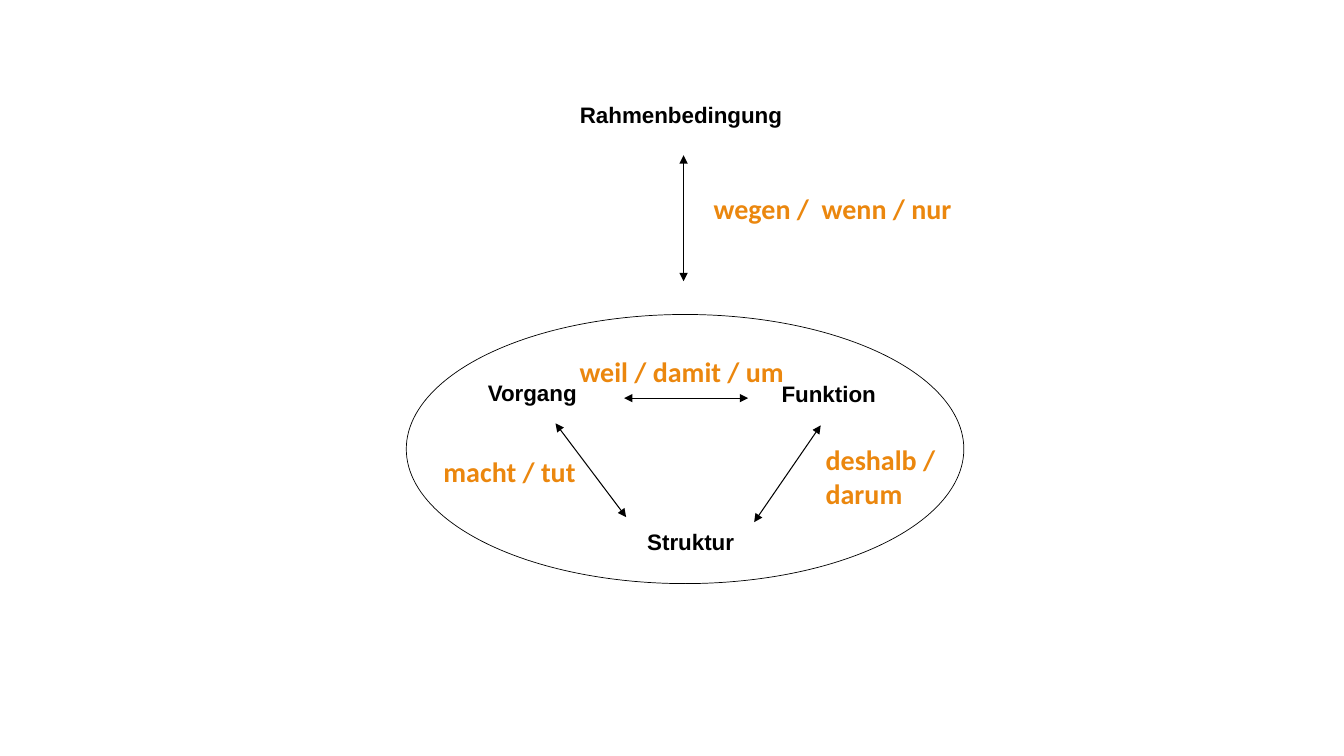
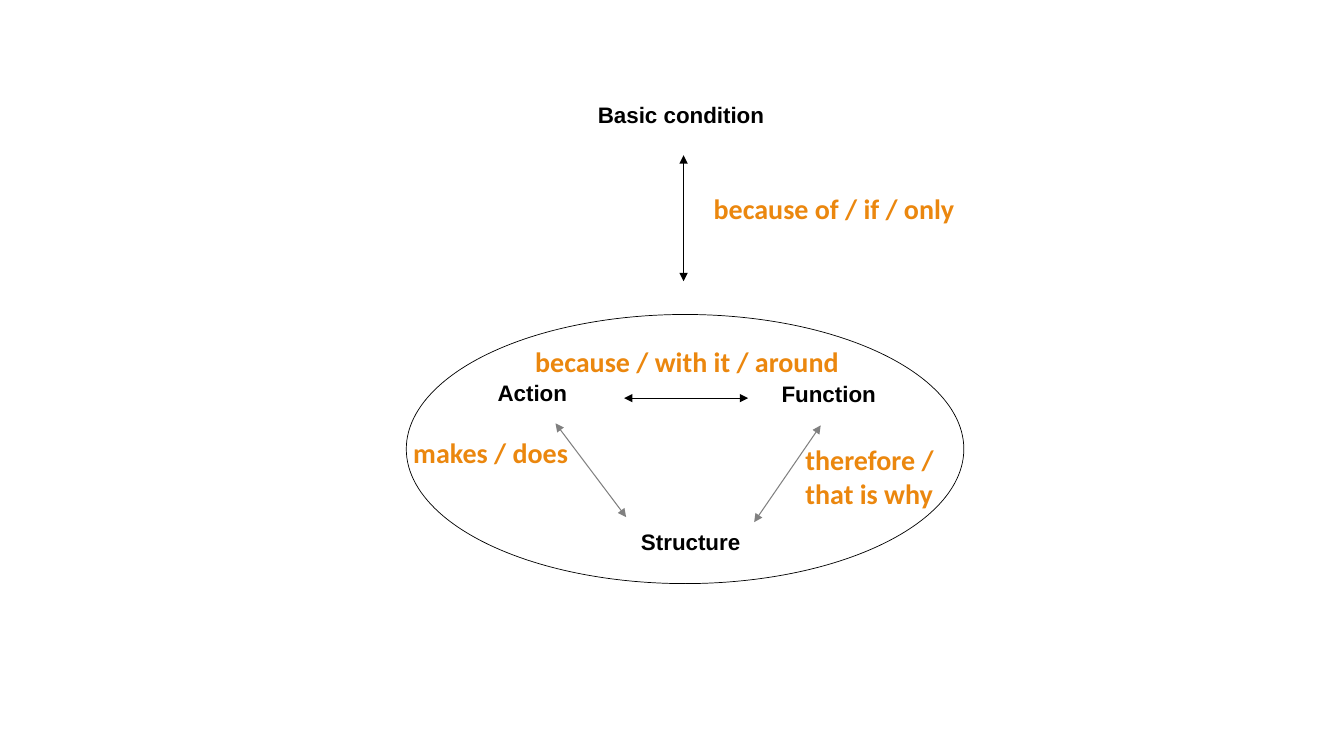
import pptx
import pptx.util
import pptx.dml.color
import pptx.enum.shapes
import pptx.enum.text
import pptx.oxml.ns
from lxml import etree

Inches = pptx.util.Inches
Pt = pptx.util.Pt
COLORS = {"ink": "000000", "gray": "808080", "accent": "EB870E"}
TERM = {"font": "Arial", "size": 16, "color": "ink", "align": "CENTER"}
LINK = {"font": "Calibri", "size": 20, "color": "accent", "align": "LEFT"}
TERM_H, LINK_H = 0.37, 0.44


def rgb(name):
    return pptx.dml.color.RGBColor.from_string(COLORS[name])


def write(slide, text, box, font, size, color, align):
    frame = slide.shapes.add_textbox(*map(Inches, box)).text_frame
    frame.word_wrap = True
    para = frame.paragraphs[0]
    para.alignment = getattr(pptx.enum.text.PP_ALIGN, align)
    run = para.add_run()
    run.text = text
    run.font.name = font
    run.font.size = Pt(size)
    run.font.bold = True
    run.font.color.rgb = rgb(color)


def arrow(slide, ends, color="ink"):
    """Draw a thin line with a triangle at both ends."""
    line = slide.shapes.add_connector(
        pptx.enum.shapes.MSO_CONNECTOR.STRAIGHT, *map(Inches, ends))
    line.line.width = Pt(0.75)
    line.line.color.rgb = rgb(color)
    props = line.line._get_or_add_ln()
    for end in ("a:headEnd", "a:tailEnd"):
        etree.SubElement(props, pptx.oxml.ns.qn(end), type="triangle")
    etree.SubElement(line._element.spPr, pptx.oxml.ns.qn("a:effectLst"))


def condition(slide, left, top, term, link, width):
    """Place the outer condition above its upright arrow."""
    write(slide, term, (left, top, 2.67, TERM_H), **TERM)
    mid = left + 1.36
    arrow(slide, (mid, top + 0.59, mid, top + 1.84))
    write(slide, link, (left + 1.56, top + 0.9, width, LINK_H), **LINK)


def triad(slide, left, top, terms, links, sides):
    """Place three linked terms inside an ellipse."""
    oval = slide.shapes.add_shape(
        pptx.enum.shapes.MSO_SHAPE.OVAL,
        *map(Inches, (left, top, 5.53, 2.67)))
    oval.shadow.inherit = False
    oval.fill.background()
    oval.line.color.rgb = rgb("ink")
    oval.line.width = Pt(0.5)

    spots = [(0.55, 0.59, 1.4), (3.48, 0.6, 1.42), (1.81, 2.07, 2.02)]
    for term, (x, y, width) in zip(terms, spots):
        write(slide, term, (left + x, top + y, width, TERM_H), **TERM)

    lines = [((2.16, 0.83, 3.39, 0.83), "ink"),
             ((2.18, 2.01, 1.48, 1.08), sides),
             ((3.45, 2.06, 4.11, 1.1), sides)]
    for (x1, y1, x2, y2), color in lines:
        arrow(slide, (left + x1, top + y1, left + x2, top + y2), color)

    for text, (x, y, width, height) in links:
        write(slide, text, (left + x, top + y, width, height), **LINK)


SLIDES = [
    {
        "frame": ("Rahmenbedingung", "wegen /  wenn / nur", 2.78),
        "terms": ("Vorgang", "Funktion", "Struktur"),
        "links": [("macht / tut", (0.27, 1.34, 1.56, LINK_H)),
                  ("weil / damit / um", (1.62, 0.35, 2.33, LINK_H)),
                  ("deshalb / darum", (4.06, 1.22, 1.38, 0.77))],
        "sides": "ink",
    },
    {
        "frame": ("Basic condition", "because of / if / only", 2.67),
        "terms": ("Action", "Function", "Structure"),
        "links": [("makes / does", (-0.03, 1.15, 1.79, LINK_H)),
                  ("because / with it / around", (1.18, 0.25, 3.43, LINK_H)),
                  ("therefore / that is why", (3.86, 1.22, 1.58, 0.77))],
        "sides": "gray",
    },
]


def main():
    deck = pptx.Presentation()
    deck.slide_width = Inches(13.33)
    deck.slide_height = Inches(7.5)
    for data in SLIDES:
        slide = deck.slides.add_slide(deck.slide_layouts[6])
        condition(slide, 5.42, 0.95, *data["frame"])
        triad(slide, 4.03, 3.12, data["terms"], data["links"], data["sides"])
    deck.save("out.pptx")


if __name__ == "__main__":
    main()
